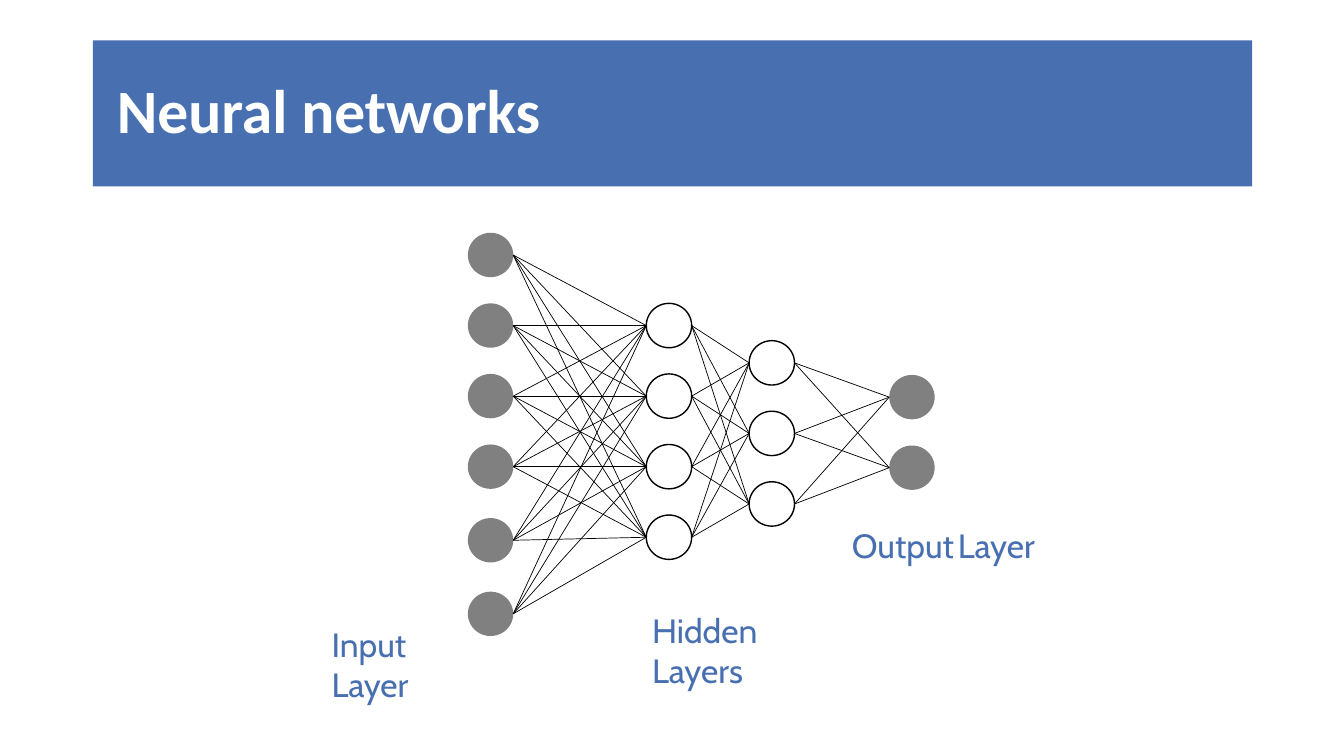
from pptx import Presentation
from pptx.dml.color import RGBColor
from pptx.enum.shapes import MSO_CONNECTOR as LINE, MSO_SHAPE as SHAPE
from pptx.enum.text import MSO_ANCHOR as ANCHOR, PP_ALIGN as ALIGN
from pptx.oxml.ns import qn
from pptx.util import Inches, Pt
from lxml import etree

BLUE = RGBColor(0x48, 0x70, 0xB1)
GRAY = RGBColor(0x80, 0x80, 0x80)
WHITE = RGBColor(0xFF, 0xFF, 0xFF)
BLACK = RGBColor(0, 0, 0)

WIDE, HIGH, PITCH = 0.45, 0.44, 0.7


def spread(first, count):
    return [first + PITCH * i for i in range(count)]


# Content: layers as (left, node centres, fill, outlined)
TITLE = " Neural networks"
LAYERS = [
    (4.64, spread(2.53, 4) + [5.36, 6.09], GRAY, False),
    (6.41, spread(3.23, 4), WHITE, True),
    (7.43, spread(3.6, 3), WHITE, True),
    (8.82, spread(3.94, 2), GRAY, False),
]
# Labels as (words, left, top, width)
LABELS = [
    (["Output", " ", "Layer"], 8.35, 5.16, 2.02),
    (["Input Layer"], 3.19, 6.14, 1.59),
    (["Hidden Layers"], 6.37, 6, 2.14),
]

deck = Presentation()
deck.slide_width, deck.slide_height = Inches(13.33), Inches(7.5)
slide = deck.slides.add_slide(deck.slide_layouts[5])


def style(run, font, size, color, bold=False):
    run.font.name, run.font.size, run.font.bold = font, Pt(size), bold
    run.font.color.rgb = color


# Title bar
title = slide.shapes.title
title.left, title.top = Inches(0.92), Inches(0.4)
title.width, title.height = Inches(11.5), Inches(1.45)
title.fill.solid()
title.fill.fore_color.rgb = BLUE
title.text_frame.text = TITLE
title.text_frame.vertical_anchor = ANCHOR.MIDDLE
head = title.text_frame.paragraphs[0]
head.alignment, head.line_spacing = ALIGN.LEFT, 0.9
style(head.runs[0], "Calibri", 44, WHITE, True)

# Nodes
net = slide.shapes.add_group_shape().shapes
for left, rows, fill, outlined in LAYERS:
    for mid in rows:
        node = net.add_shape(SHAPE.OVAL, Inches(left), Inches(mid - HIGH / 2),
                             Inches(WIDE), Inches(HIGH))
        node.shadow.inherit = False
        node.fill.solid()
        node.fill.fore_color.rgb = fill
        if outlined:
            node.line.color.rgb = BLACK
            node.line.width = Pt(1)
        else:
            node.line.fill.background()

# Links from every node to every node of the next layer
for (left, rows, *_), (right, ends, *_) in zip(LAYERS, LAYERS[1:]):
    for start in rows:
        for end in ends:
            link = net.add_connector(LINE.STRAIGHT, Inches(left + WIDE), Inches(start),
                                     Inches(right), Inches(end))
            link.line.color.rgb = BLACK
            link.line.width = Pt(0.5)
            etree.SubElement(link._element.spPr, qn("a:effectLst"))

# Layer labels
for words, left, top, width in LABELS:
    frame = net.add_textbox(Inches(left), Inches(top), Inches(width),
                            Inches(0.38)).text_frame
    frame.word_wrap = True
    for word in words:
        run = frame.paragraphs[0].add_run()
        run.text = word
        if word == " ":
            style(run, "Calibri", 12, BLUE, True)
        else:
            style(run, "Cabin", 24, BLUE)

deck.save("out.pptx")
